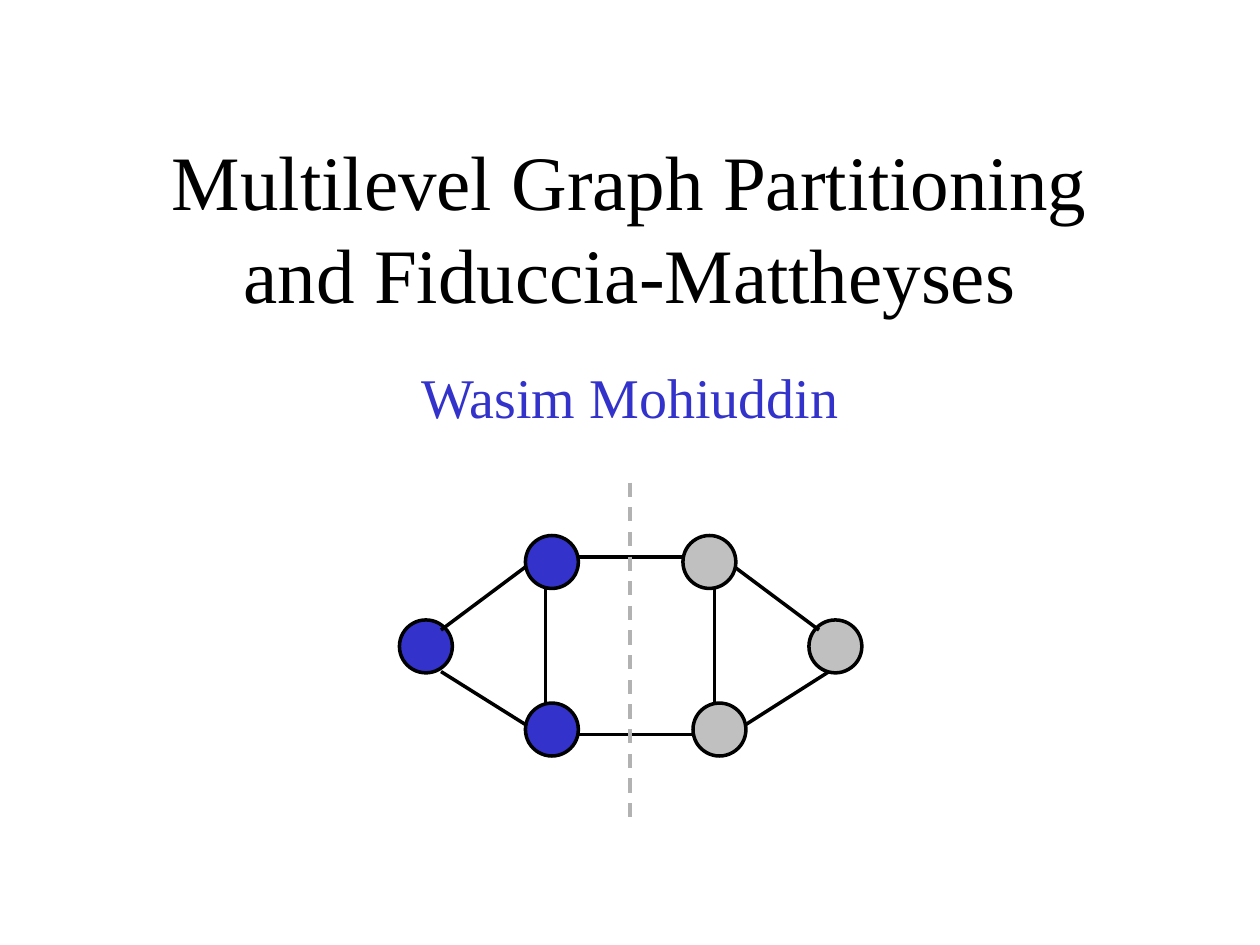
from lxml import etree
from pptx import Presentation
from pptx.dml.color import RGBColor
from pptx.enum.dml import MSO_LINE
from pptx.enum.shapes import MSO_CONNECTOR, MSO_SHAPE
from pptx.enum.text import MSO_ANCHOR, PP_ALIGN
from pptx.oxml.ns import qn
from pptx.util import Inches, Pt

STRAIGHT = MSO_CONNECTOR.STRAIGHT
OVAL = MSO_SHAPE.OVAL
DASH = MSO_LINE.DASH
CENTER = PP_ALIGN.CENTER
TOP, MIDDLE = MSO_ANCHOR.TOP, MSO_ANCHOR.MIDDLE

FONT = "Times New Roman"
BLACK, BLUE, SILVER, GRAY = "000000", "3333CC", "C0C0C0", "B2B2B2"
NODE_SIZE = 0.42

# Positions are relative to the top left of the graph.
NODES = [
    (0, 1.09, BLUE), (1, 1.75, BLUE), (1, 0.42, BLUE),
    (2.25, 0.42, SILVER), (2.33, 1.75, SILVER), (3.25, 1.09, SILVER),
]
EDGES = [
    ((1.41, 0.59), (2.25, 0.59)), ((1.41, 2), (2.33, 2)),
    ((0.33, 1.17), (1, 0.67)), ((0.33, 1.5), (1, 1.92)),
    ((2.66, 0.67), (3.33, 1.17)), ((3.41, 1.5), (2.75, 1.92)),
    ((1.16, 0.84), (1.16, 1.75)), ((2.5, 0.84), (2.5, 1.75)),
]
CUT = ((1.83, 0), (1.83, 2.67))


def color(hex_string):
    return RGBColor.from_string(hex_string)


def add_heading(page, left, top, width, height, text, size, ink, anchor):
    box = page.shapes.add_textbox(Inches(left), Inches(top), Inches(width), Inches(height))
    frame = box.text_frame
    frame.word_wrap = True
    frame.vertical_anchor = anchor
    frame.text = text
    para = frame.paragraphs[0]
    para.alignment = CENTER
    for span in para.runs:
        span.font.name = FONT
        span.font.size = Pt(size)
        span.font.color.rgb = color(ink)


def add_node(page, left, top, fill):
    node = page.shapes.add_shape(
        OVAL, Inches(left), Inches(top), Inches(NODE_SIZE), Inches(NODE_SIZE))
    node.shadow.inherit = False
    node.fill.solid()
    node.fill.fore_color.rgb = color(fill)
    node.line.color.rgb = color(BLACK)
    node.line.width = Pt(2)


def add_line(page, left, top, ends, ink, dash=None):
    (x1, y1), (x2, y2) = ends
    line = page.shapes.add_connector(
        STRAIGHT, Inches(left + x1), Inches(top + y1), Inches(left + x2), Inches(top + y2))
    line.line.color.rgb = color(ink)
    line.line.width = Pt(2)
    if dash:
        line.line.dash_style = dash
    etree.SubElement(line._element.spPr, qn("a:effectLst"))


def add_graph(page, left, top):
    """Draw a six-node graph split by a dashed cut line."""
    for x, y, fill in NODES:
        add_node(page, left + x, top + y, fill)
    for ends in EDGES:
        add_line(page, left, top, ends, BLACK)
    add_line(page, left, top, CUT, GRAY, DASH)


def main():
    deck = Presentation()
    deck.slide_width, deck.slide_height = Inches(10), Inches(7.5)
    page = deck.slides.add_slide(deck.slide_layouts[6])
    add_heading(page, 0.75, 1.17, 8.5, 1.25,
                "Multilevel Graph Partitioning and Fiduccia-Mattheyses", 44, BLACK, MIDDLE)
    add_heading(page, 1.5, 2.83, 7, 1.92, "Wasim Mohiuddin", 32, BLUE, TOP)
    add_graph(page, 3.17, 3.83)
    deck.save("out.pptx")


if __name__ == "__main__":
    main()
